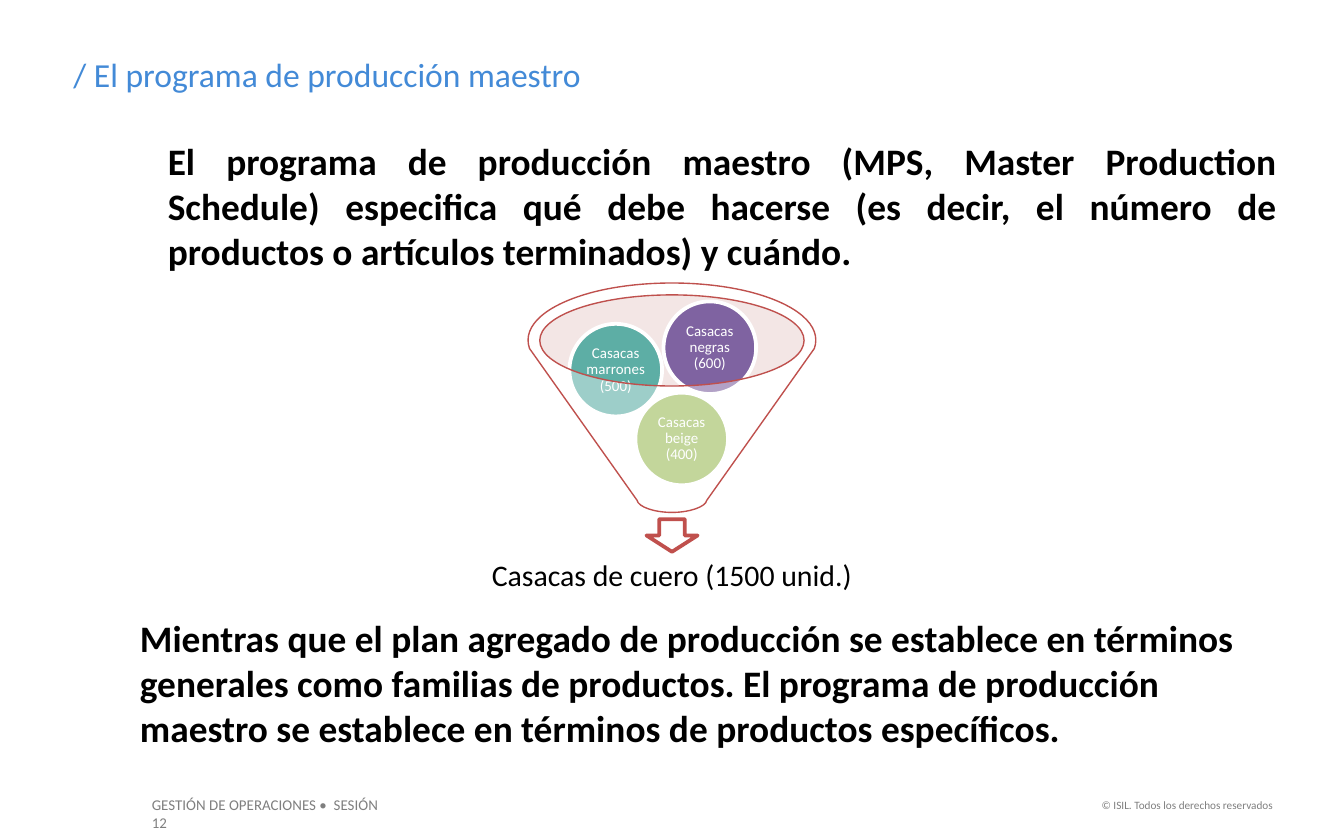
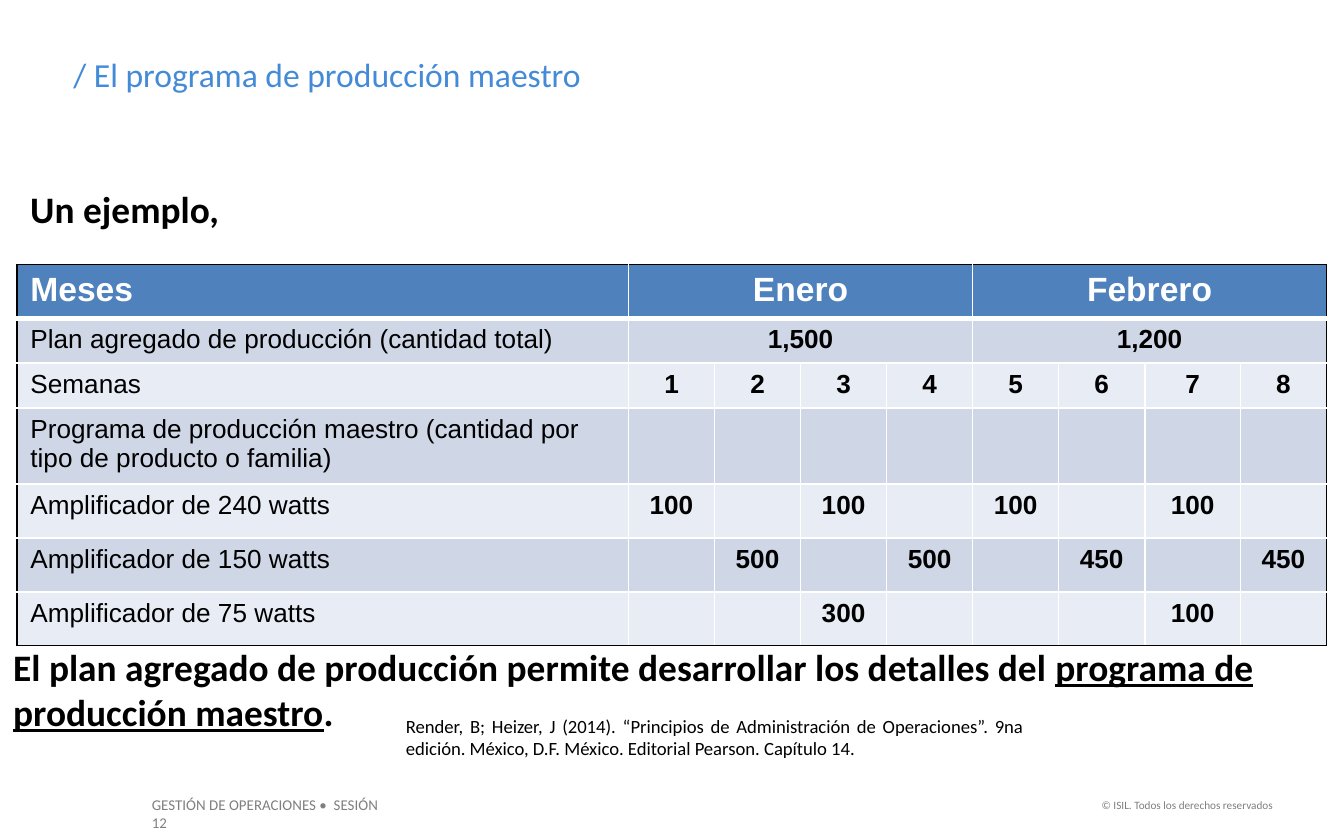
import pptx
import pptx.util
import pptx.dml.color
import pptx.enum.shapes
import pptx.enum.text
import pptx.oxml
import pptx.oxml.ns

Pt = pptx.util.Pt
SHAPE = pptx.enum.shapes.MSO_SHAPE
ALIGN = pptx.enum.text.PP_ALIGN
MIDDLE = pptx.enum.text.MSO_ANCHOR.MIDDLE
SPACE = pptx.oxml.ns.nsdecls("a")
HUES = {
    "title": "438AD7", "text": "000000", "foot": "7F7F7F", "white": "FFFFFF",
    "rim": "E1C1C0", "arrow": "C0504D", "edge": "BF504D",
    "beige": "9BBB59", "brown": "5DAEA5", "black": "7F63A1",
    "head": "4F81BD", "dark": "CFD7E7", "light": "E8ECF4",
}
WIDE, HIGH = 720, 450
CONE = [
    ("moveTo", [(-76.3, 35.3)]),
    ("cubicBezTo", [(-80.6, 23), (-67, 11.5), (-41.8, 5)]),
    ("cubicBezTo", [(-16.6, -1.4), (16.6, -1.4), (41.8, 5)]),
    ("cubicBezTo", [(67, 11.5), (80.6, 23), (76.3, 35.3)]),
    ("lnTo", [(18.7, 116.6)]),
    ("cubicBezTo", [(18, 120.2), (9.4, 123.1), (0, 123.1)]),
    ("cubicBezTo", [(-9.4, 123.1), (-18, 120.2), (-18.7, 116.6)]),
    ("close", []),
    ("moveTo", [(-70.8, 31)]),
    ("cubicBezTo", [(-70.8, 44.5), (-39, 55.4), (0, 55.4)]),
    ("cubicBezTo", [(39, 55.4), (70.8, 44.5), (70.8, 31)]),
    ("cubicBezTo", [(70.8, 17.5), (39, 6.6), (0, 6.6)]),
    ("cubicBezTo", [(-39, 6.6), (-70.8, 17.5), (-70.8, 31)]),
    ("close", []),
]
COLS = [327.6] + [46.1] * 6 + [51.3, 46.1]
ROWS = [28.8, 24, 24, 40.8, 28.8, 28.8, 28.8]
CELLS = [
    ["Meses", "Enero", "", "", "", "Febrero", "", "", ""],
    ["Plan agregado de producción (cantidad total)",
     "1,500", "", "", "", "1,200", "", "", ""],
    ["Semanas"] + [str(week) for week in range(1, 9)],
    ["Programa de producción maestro (cantidad por tipo de producto o familia)"]
    + [""] * 8,
    ["Amplificador de 240 watts", "100", "", "100", "", "100", "", "100", ""],
    ["Amplificador de 150 watts", "", "500", "", "500", "", "450", "", "450"],
    ["Amplificador de 75 watts", "", "", "300", "", "", "", "100", ""],
]


def tint(name):
    return pptx.dml.color.RGBColor.from_string(HUES[name])


def style(para, size, hue="text", bold=False, align=ALIGN.LEFT, font="Calibri"):
    para.alignment = align
    for run in para.runs:
        run.font.name = font
        run.font.size = Pt(size)
        run.font.bold = bold
        run.font.color.rgb = tint(hue)


def write(slide, spot, text, size, **look):
    box = slide.shapes.add_textbox(*map(Pt, spot))
    box.text_frame.word_wrap = True
    box.text_frame.text = text
    para = box.text_frame.paragraphs[0]
    style(para, size, **look)
    return para


def label(slide, spot, text, size, inset, hue="text"):
    para = write(slide, spot, text, size, hue=hue, align=ALIGN.CENTER)
    para.line_spacing = 0.9
    body = para._parent
    body.vertical_anchor = MIDDLE
    body.margin_left = body.margin_right = Pt(inset)
    body.margin_top = body.margin_bottom = Pt(inset)


def paint(shape, hue, line=None, width=0, alpha=None):
    shape.shadow.inherit = False
    shape.fill.solid()
    shape.fill.fore_color.rgb = tint(hue)
    if alpha:
        color = shape.fill._xPr.find(".//" + pptx.oxml.ns.qn("a:srgbClr"))
        color.append(pptx.oxml.parse_xml(
            f'<a:alpha {SPACE} val="{alpha * 1000}"/>'))
    if line:
        shape.line.color.rgb = tint(line)
        shape.line.width = Pt(width)
    else:
        shape.line.fill.background()


def frame(deck):
    slide = deck.slides.add_slide(deck.slide_layouts[6])
    write(slide, (74.2, 422.6, 145.4, 17.3),
          "GESTIÓN DE OPERACIONES •  SESIÓN 12", 8, hue="foot")
    write(slide, (578, 424, 110.9, 14.4),
          "© ISIL. Todos los derechos reservados", 6, hue="foot", align=ALIGN.RIGHT)
    write(slide, (32.2, 25.2, 567.4, 28.8),
          "/ El programa de producción maestro", 18, hue="title")
    return slide


def ball(slide, x, y, text, hue):
    disc = slide.shapes.add_shape(SHAPE.OVAL, Pt(x), Pt(y), Pt(49.6), Pt(49.6))
    paint(disc, hue, "white", 2)
    label(slide, (x + 7.2, y + 7.2, 35.2, 35.2), text, 8, 0.7, "white")


def cone(slide, mid, y):
    half, high = 76.7, 123.1
    left, right, top, base = map(Pt, (mid - half, mid + half, y, y + high))
    path = slide.shapes.build_freeform(left, top, scale=1.0)
    path.add_line_segments([(right, top), (right, base), (left, base)])
    shape = path.convert_to_shape()
    route = shape._element.find(".//" + pptx.oxml.ns.qn("a:path"))
    for step in list(route):
        route.remove(step)
    for kind, spots in CONE:
        dots = "".join(f'<a:pt x="{Pt(dx + half)}" y="{Pt(dy)}"/>'
                       for dx, dy in spots)
        route.append(pptx.oxml.parse_xml(f"<a:{kind} {SPACE}>{dots}</a:{kind}>"))
    paint(shape, "white", "edge", 0.75, alpha=40)


def funnel(slide, x, y, wide):
    mid = x + wide / 2
    mouth = slide.shapes.add_shape(
        SHAPE.OVAL, Pt(mid - 70.8), Pt(y + 6.6), Pt(141.6), Pt(48.8))
    paint(mouth, "rim", alpha=40)
    arrow = slide.shapes.add_shape(
        SHAPE.DOWN_ARROW, Pt(mid - 13.7), Pt(y + 126.7), Pt(27.4), Pt(17.5))
    paint(arrow, "white", "arrow", 2)
    label(slide, (x, y + 141, wide, 33), "Casacas de cuero (1500 unid.)", 16, 8.6)
    ball(slide, mid - 19.6, y + 59, "Casacas beige (400)", "beige")
    ball(slide, mid - 54.9, y + 22.1, "Casacas marrones (500)", "brown")
    ball(slide, mid - 4.5, y + 10.1, "Casacas negras (600)", "black")
    cone(slide, mid, y)


def border(cell, lines):
    props = cell._tc.get_or_add_tcPr()
    for place, (side, hue, width) in enumerate(lines):
        props.insert(place, pptx.oxml.parse_xml(
            f'<a:ln{side} {SPACE} w="{Pt(width)}"><a:solidFill>'
            f'<a:srgbClr val="{HUES[hue]}"/></a:solidFill></a:ln{side}>'))


def plan(slide, x, y):
    grid = slide.shapes.add_table(
        len(ROWS), len(COLS), Pt(x), Pt(y), Pt(sum(COLS)), Pt(sum(ROWS))).table
    for col, width in zip(grid.columns, COLS):
        col.width = Pt(width)
    for row, high in zip(grid.rows, ROWS):
        row.height = Pt(high)
    for r, texts in enumerate(CELLS):
        for c, text in enumerate(texts):
            cell = grid.cell(r, c)
            span = 4 if r < 2 and c in (1, 5) else 1
            if span > 1:
                cell.merge(grid.cell(r, c + span - 1))
            top, last = r == 0, r == len(ROWS) - 1
            border(cell, [
                ("L", "white" if c else "text", 1),
                ("R", "text" if c + span == len(COLS) else "white", 1),
                ("T", "text" if top else "white", 1),
                ("B", "text" if last else "white", 3 if top else 1),
            ])
            cell.fill.solid()
            cell.fill.fore_color.rgb = tint(
                "head" if top else "dark" if r % 2 else "light")
            if text:
                cell.text_frame.text = text
                style(cell.text_frame.paragraphs[0], 18 if top else 14,
                      "white" if top else "text", top or c > 0,
                      ALIGN.CENTER if c else ALIGN.LEFT, "Arial")


def intro(deck):
    slide = frame(deck)
    write(slide, (82.8, 70.6, 608.4, 80),
          "El programa de producción maestro (MPS, Master Production Schedule) "
          "especifica qué debe hacerse (es decir, el número de productos o "
          "artículos terminados) y cuándo.", 20, bold=True, align=ALIGN.JUSTIFY)
    write(slide, (67.9, 326.2, 623.5, 80),
          "Mientras que el plan agregado de producción se establece en términos "
          "generales como familias de productos. El programa de producción maestro "
          "se establece en términos de productos específicos.", 20, bold=True)
    funnel(slide, 242, 151.4, 236)


def sample(deck):
    slide = frame(deck)
    note = write(slide, (0, 341.7, 710.6, 55.4),
                 "El plan agregado de producción permite desarrollar los detalles del ",
                 20, bold=True)
    for text in ("programa de producción maestro", "."):
        note.add_run().text = text
    style(note, 20, bold=True)
    note.runs[1].font.underline = True
    plan(slide, 9.1, 141.6)
    write(slide, (9.1, 96.1, 116.6, 31.7), "Un ejemplo,", 20, bold=True)
    write(slide, (210.4, 379.4, 344.7, 31.7),
          "Render, B; Heizer, J (2014). “Principios de Administración de "
          "Operaciones”. 9na edición. México, D.F. México. Editorial Pearson. "
          "Capítulo 14.", 10, align=ALIGN.JUSTIFY)


def main():
    deck = pptx.Presentation()
    deck.slide_width, deck.slide_height = Pt(WIDE), Pt(HIGH)
    intro(deck)
    sample(deck)
    deck.save("out.pptx")


if __name__ == "__main__":
    main()
